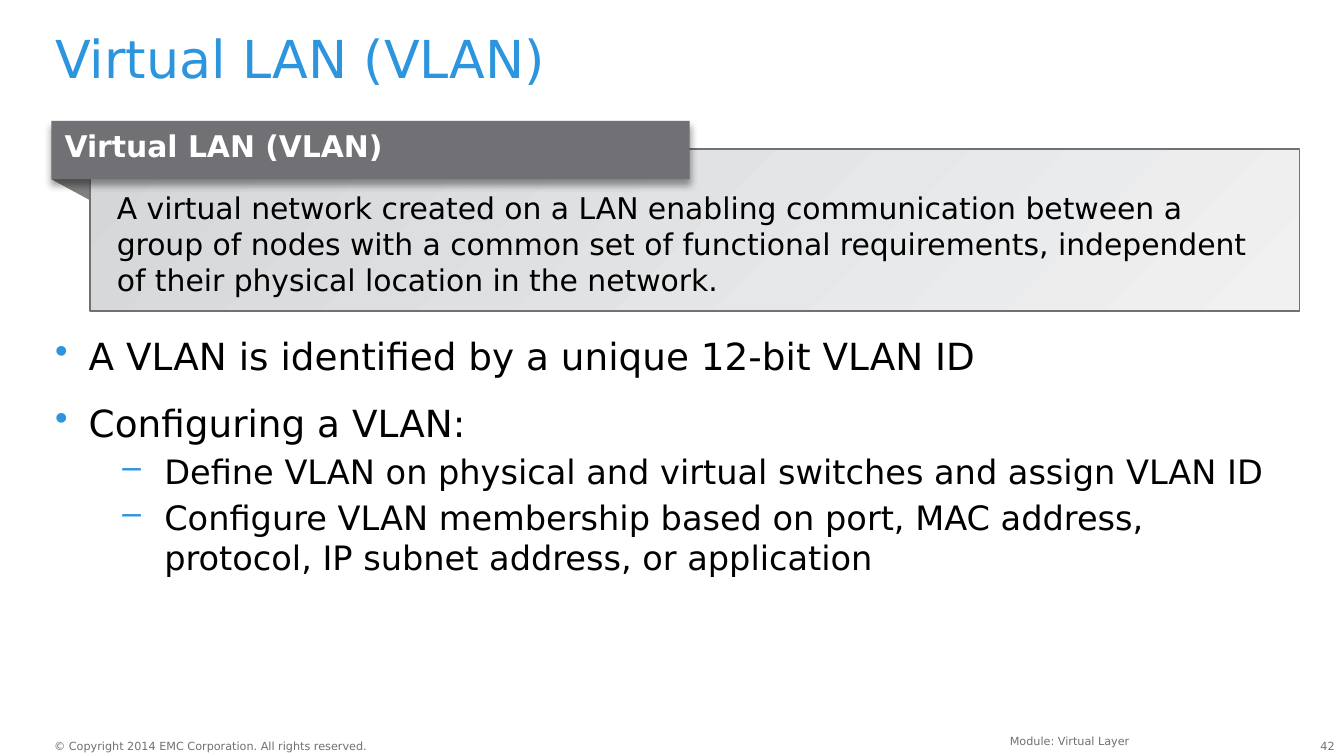
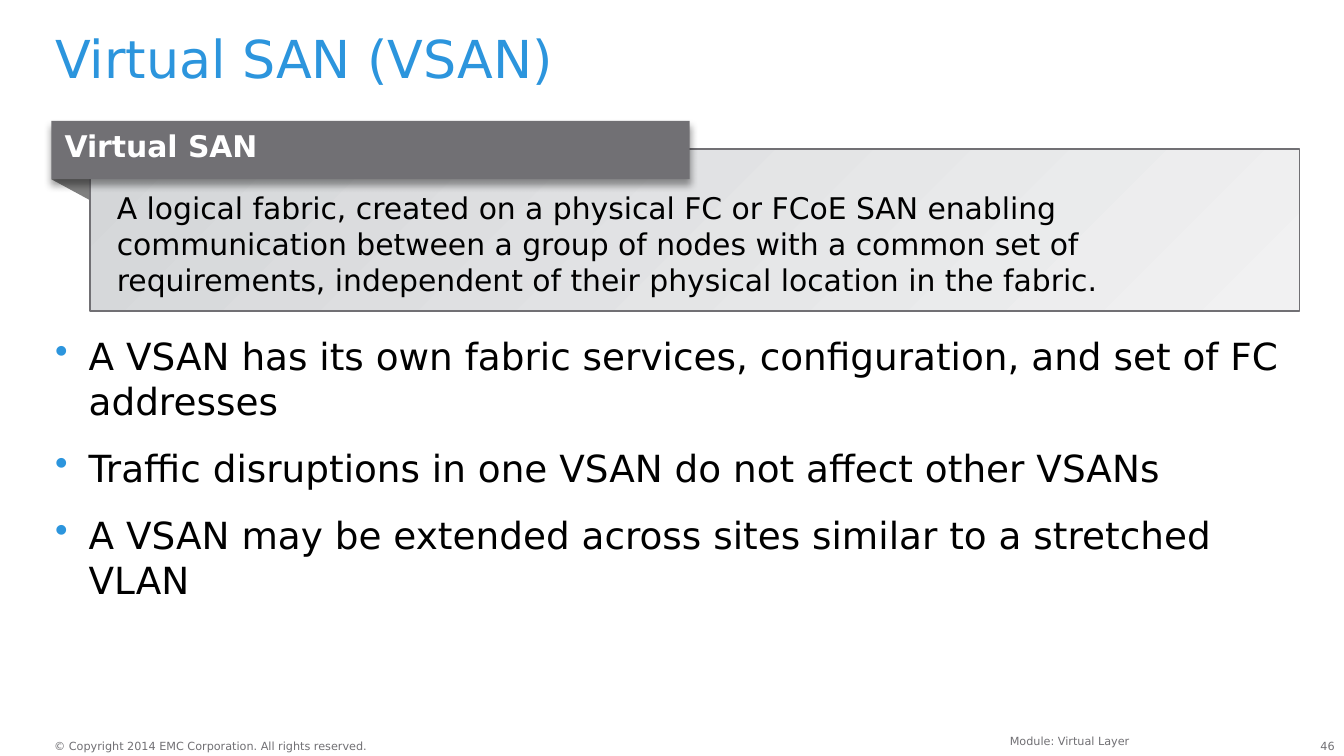
from lxml.etree import SubElement
from pptx import Presentation
from pptx.dml.color import RGBColor
from pptx.enum.shapes import MSO_SHAPE
from pptx.enum.text import MSO_ANCHOR, PP_ALIGN
from pptx.oxml import parse_xml
from pptx.oxml.ns import nsdecls, qn
from pptx.util import Pt

BLUE, GRAY, DARK, BLACK, WHITE = "2C95DD", "717074", "808080", "000000", "FFFFFF"
FACE = "DejaVu Sans"
MARKS = [
    {"sign": "•", "left": 18, "hang": 18, "gap": 12, "size": 20},
    {"sign": "–", "left": 58.5, "hang": 22.5, "gap": 3, "size": 18},
]
SHADE = f"""<a:effectLst {nsdecls("a")}>
<a:outerShdw blurRad="{Pt(4)}" dist="{Pt(3)}" dir="5400000" algn="t" rotWithShape="0">
<a:srgbClr val="{BLACK}"><a:alpha val="40000"/></a:srgbClr>
</a:outerShdw></a:effectLst>"""
PAGES = [
    {
        "title": "Virtual LAN (VLAN)",
        "term": "Virtual LAN (VLAN)",
        "sense": "A virtual network created on a LAN enabling communication between a group of nodes "
                 "with a common set of functional requirements, independent of their physical "
                 "location in the network.",
        "points": [
            (0, "A VLAN is identified by a unique 12-bit VLAN ID"),
            (0, "Configuring a VLAN:"),
            (1, "Define VLAN on physical and virtual switches and assign VLAN ID"),
            (1, "Configure VLAN membership based on port, MAC address, protocol, "
                "IP subnet address, or application"),
        ],
        "number": "42",
    },
    {
        "title": "Virtual SAN (VSAN)",
        "term": "Virtual SAN",
        "sense": "A logical fabric, created on a physical FC or FCoE SAN enabling communication "
                 "between a group of nodes with a common set of requirements, independent of their "
                 "physical location in the fabric.",
        "points": [
            (0, "A VSAN has its own fabric services, configuration, and set of FC addresses"),
            (0, "Traffic disruptions in one VSAN do not affect other VSANs"),
            (0, "A VSAN may be extended across sites similar to a stretched VLAN"),
        ],
        "number": "46",
    },
]


def tint(code):
    return RGBColor.from_string(code)


def write(shape, lines, size, color, pads=(0, 0, 0, 0), wrap=True, bold=False, **style):
    frame = shape.text_frame
    sides = ("margin_left", "margin_top", "margin_right", "margin_bottom")
    setup = dict(zip(sides, map(Pt, pads)), word_wrap=wrap, vertical_anchor=MSO_ANCHOR.TOP)
    for key, value in setup.items():
        setattr(frame, key, value)
    for i, (mark, text) in enumerate(lines):
        para = frame.add_paragraph() if i else frame.paragraphs[0]
        para.alignment = PP_ALIGN.LEFT
        points = size
        if mark:
            points = mark["size"]
            props = para._p.get_or_add_pPr()
            props.set("marL", str(Pt(mark["left"])))
            props.set("indent", str(-Pt(mark["hang"])))
            hue = SubElement(props, qn("a:buClr"))
            SubElement(hue, qn("a:srgbClr"), val=BLUE)
            SubElement(props, qn("a:buChar"), char=mark["sign"])
            if i:
                para.space_before = Pt(mark["gap"])
        for key, value in style.items():
            setattr(para, key, value)
        run = para.add_run()
        run.text = text
        for key, value in {"name": FACE, "size": Pt(points), "bold": bold}.items():
            setattr(run.font, key, value)
        run.font.color.rgb = tint(color)


deck = Presentation()
deck.slide_width, deck.slide_height = Pt(720), Pt(405)

for page in PAGES:
    slide = deck.slides.add_slide(deck.slide_layouts[6])
    shapes = slide.shapes
    right = {"alignment": PP_ALIGN.RIGHT}
    points = [(MARKS[level], text) for level, text in page["points"]]
    texts = [
        ((692.5, 396, 22.5, 7.2), [(None, page["number"])], 6, GRAY, right),
        ((29, 396, 170.5, 7.2),
         [(None, "© Copyright 2014 EMC Corporation. All rights reserved.")], 6, GRAY, {"wrap": False}),
        ((29.5, 18, 666, 36), [(None, page["title"])], 28, BLUE, {"line_spacing": 0.9}),
        ((29.5, 178.5, 666, 168), points, 20, BLACK, {}),
        ((204, 390, 408, 11), [(None, "Module: Virtual Layer")], 6, GRAY,
         {"pads": (7.2, 3.6, 7.2, 3.6), **right}),
    ]
    for area, lines, size, color, style in texts:
        write(shapes.add_textbox(*map(Pt, area)), lines, size, color, **style)

    pen = shapes.build_freeform(Pt(27.5), Pt(96))
    pen.add_line_segments([(Pt(48.25), Pt(96)), (Pt(48.25), Pt(107.25))])
    fold = pen.convert_to_shape()
    fold.shadow.inherit = False
    fold.fill.solid()
    fold.fill.fore_color.rgb = tint(DARK)
    fold.line.fill.background()

    group = shapes.add_group_shape()
    card = group.shapes.add_shape(MSO_SHAPE.RECTANGLE, Pt(48.25), Pt(80), Pt(648), Pt(86.5))
    card.shadow.inherit = False
    card.fill.gradient()
    card.fill.gradient_angle = 315
    for stop, code in zip(card.fill.gradient_stops, ("D4D6D8", "F1F1F2")):
        stop.color.rgb = tint(code)
    card.line.color.rgb = tint(GRAY)
    card.line.width = Pt(1)
    write(card, [(None, page["sense"])], 16, BLACK, (14.4, 21.6, 14.4, 3.6))

    label = group.shapes.add_shape(MSO_SHAPE.RECTANGLE, Pt(27.5), Pt(64.75), Pt(342), Pt(31.25))
    label.fill.solid()
    label.fill.fore_color.rgb = tint(GRAY)
    label.line.fill.background()
    label._element.spPr.append(parse_xml(SHADE))
    write(label, [(None, page["term"])], 16, WHITE, (7.2, 3.6, 7.2, 3.6), bold=True)

deck.save("out.pptx")
